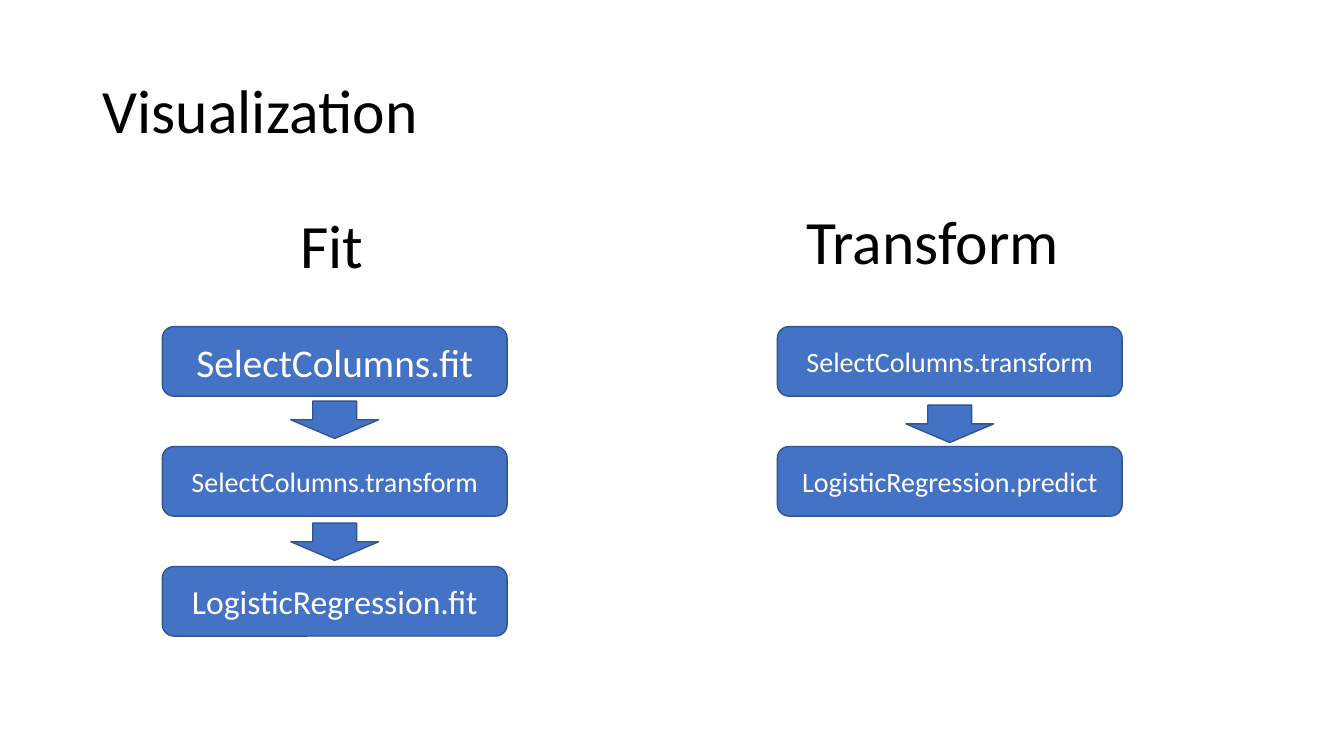
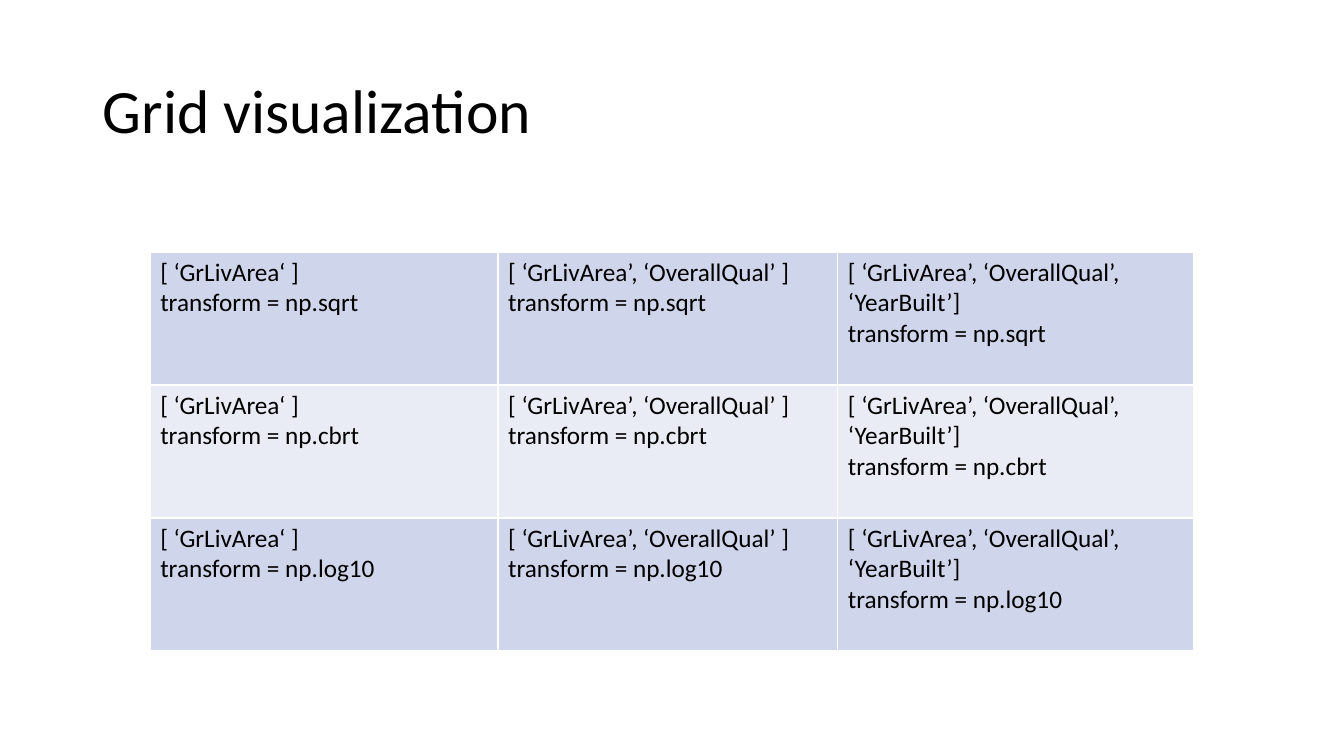
from dataclasses import dataclass

from pptx import Presentation
from pptx.dml.color import RGBColor
from pptx.enum.shapes import MSO_SHAPE as SHAPE
from pptx.enum.text import MSO_ANCHOR as ANCHOR, MSO_AUTO_SIZE as AUTO_SIZE, PP_ALIGN as ALIGN
from pptx.util import Inches, Pt


@dataclass(frozen=True)
class Theme:
    font: str = "Calibri"
    text: str = "000000"
    on_fill: str = "FFFFFF"
    accent: str = "4472C4"
    outline: str = "325491"
    bands: tuple = ("CFD5EA", "E9EBF5")
    heading: int = 44
    cell: int = 18


THEME = Theme()
TITLE_BOX = (0.92, 0.4, 11.5, 1.45)

# Steps are (label, type size); arrow tops are in inches.
FLOWS = [
    {
        "heading": "Fit", "heading_box": (2.88, 2, 2.56, 0.84), "left": 1.61,
        "steps": [("SelectColumns.fit", 28), ("SelectColumns.transform", 20),
                  ("LogisticRegression.fit", 24)],
        "arrow_tops": [3.98, 5.19],
    },
    {
        "heading": "Transform", "heading_box": (7.9, 1.96, 2.87, 0.84), "left": 7.71,
        "steps": [("SelectColumns.transform", 20), ("LogisticRegression.predict", 20)],
        "arrow_tops": [4.02],
    },
]
STEP_TOP, STEP_PITCH = 3.24, 1.19
STEP_W, STEP_H = 3.42, 0.69
ARROW_W, ARROW_H = 0.87, 0.37

FEATURES = ["[ ‘GrLivArea‘ ]", "[ ‘GrLivArea’, ‘OverallQual’ ]",
            "[ ‘GrLivArea’, ‘OverallQual’, ‘YearBuilt’]"]
TRANSFORMS = ["np.sqrt", "np.cbrt", "np.log10"]
GRID_LEFT, GRID_TOP, ROW_H = 1.49, 2.5, 1.32
COL_WIDTHS = [3.45, 3.37, 3.53]


def rgb(value):
    return RGBColor.from_string(value)


def inches(*lengths):
    return [Inches(length) for length in lengths]


def write(tf, *lines, size, color=THEME.text, align=ALIGN.LEFT, spacing=None):
    """Fill a text frame with one paragraph per line."""
    for i, line in enumerate(lines):
        p = tf.add_paragraph() if i else tf.paragraphs[0]
        p.alignment = align
        p.line_spacing = spacing
        r = p.add_run()
        r.text = line
        r.font.name, r.font.size = THEME.font, Pt(size)
        r.font.color.rgb = rgb(color)


def add_titled_slide(prs, title):
    s = prs.slides.add_slide(prs.slide_layouts[5])
    sp = s.shapes.title
    sp.left, sp.top, sp.width, sp.height = inches(*TITLE_BOX)
    tf = sp.text_frame
    tf.auto_size, tf.vertical_anchor = AUTO_SIZE.NONE, ANCHOR.MIDDLE
    write(tf, title, size=THEME.heading, spacing=0.9)
    return s


def add_block(s, kind, *box):
    sp = s.shapes.add_shape(kind, *inches(*box))
    sp.shadow.inherit = False
    sp.fill.solid()
    sp.fill.fore_color.rgb = rgb(THEME.accent)
    sp.line.color.rgb = rgb(THEME.outline)
    sp.line.width = Pt(1)
    return sp


def add_flow(s, flow):
    tf = s.shapes.add_textbox(*inches(*flow["heading_box"])).text_frame
    tf.word_wrap = True
    write(tf, flow["heading"], size=THEME.heading)
    for i, (label, size) in enumerate(flow["steps"]):
        sp = add_block(s, SHAPE.ROUNDED_RECTANGLE, flow["left"],
                       STEP_TOP + i * STEP_PITCH, STEP_W, STEP_H)
        sp.text_frame.vertical_anchor = ANCHOR.MIDDLE
        write(sp.text_frame, label, size=size, color=THEME.on_fill, align=ALIGN.CENTER)
    arrow_left = flow["left"] + (STEP_W - ARROW_W) / 2
    for top in flow["arrow_tops"]:
        add_block(s, SHAPE.DOWN_ARROW, arrow_left, top, ARROW_W, ARROW_H)


def add_grid(s):
    box = inches(GRID_LEFT, GRID_TOP, sum(COL_WIDTHS), ROW_H * len(TRANSFORMS))
    table = s.shapes.add_table(len(TRANSFORMS), len(FEATURES), *box).table
    table.first_row = False
    for col, width in zip(table.columns, COL_WIDTHS):
        col.width = Inches(width)
    for i, transform in enumerate(TRANSFORMS):
        table.rows[i].height = Inches(ROW_H)
        for j, features in enumerate(FEATURES):
            cell = table.cell(i, j)
            cell.fill.solid()
            cell.fill.fore_color.rgb = rgb(THEME.bands[i % 2])
            write(cell.text_frame, features, f"transform = {transform}", size=THEME.cell)


def main():
    prs = Presentation()
    prs.slide_width, prs.slide_height = inches(13.33, 7.5)
    s = add_titled_slide(prs, "Visualization")
    for flow in FLOWS:
        add_flow(s, flow)
    add_grid(add_titled_slide(prs, "Grid visualization"))
    prs.save("out.pptx")


if __name__ == "__main__":
    main()
